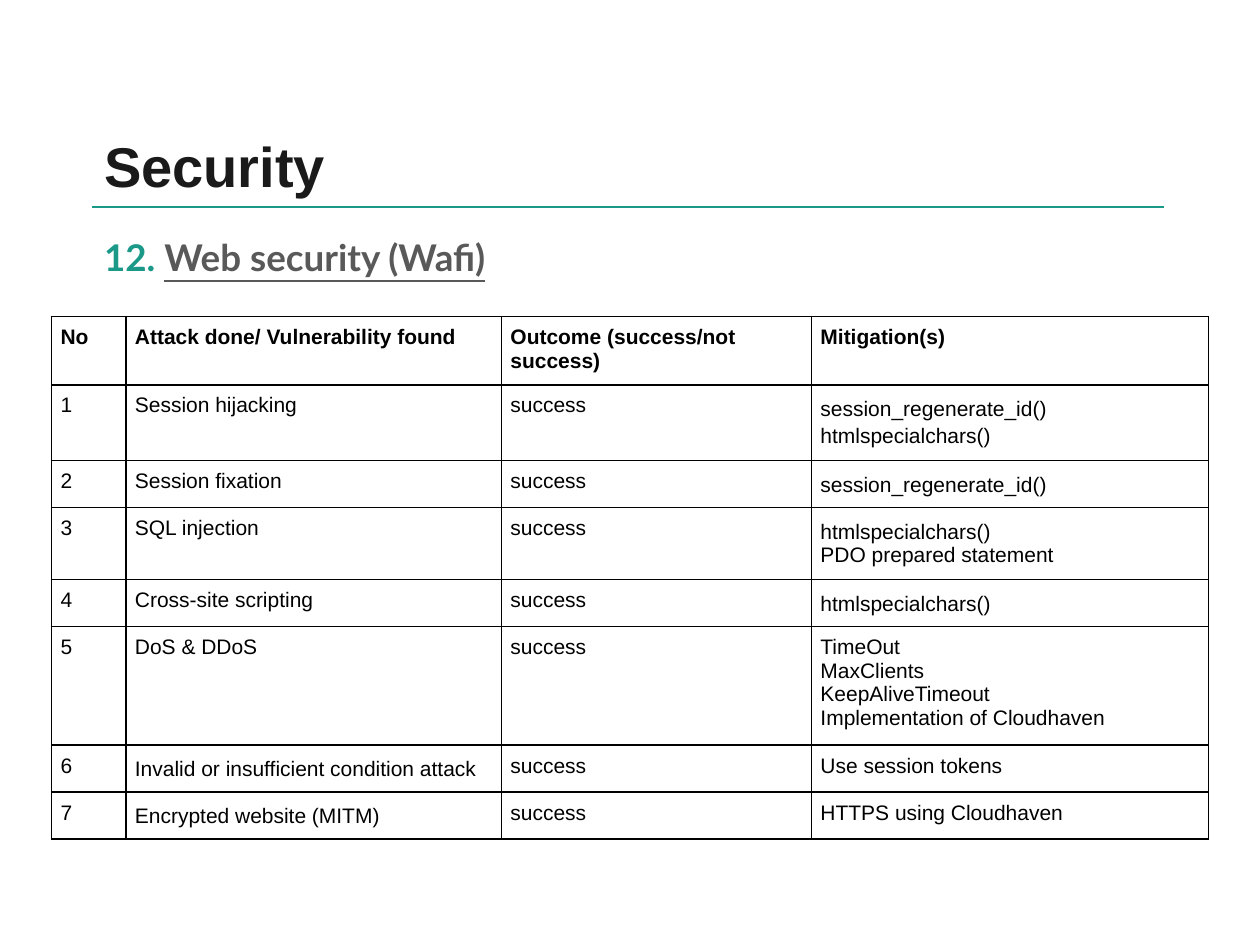
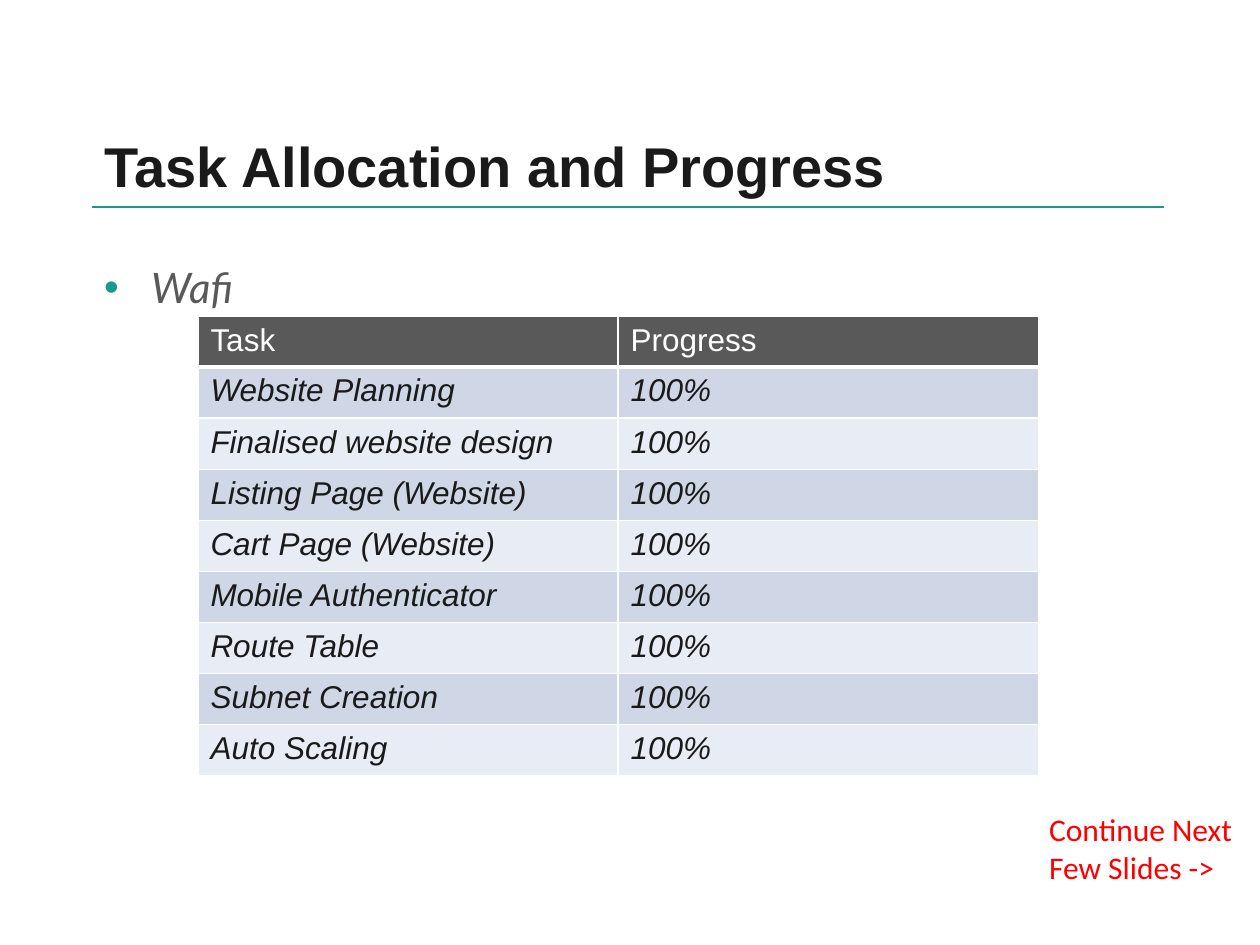
from lxml import etree
from pptx import Presentation
from pptx import util as u
from pptx.dml.color import RGBColor
from pptx.enum import shapes, text
from pptx.oxml import ns

TEAL, INK, GREY = "1A9988", "1A1A1A", "595959"
BLACK, WHITE, RED = "000000", "FFFFFF", "FF0000"
BANDS = ("CFD7E7", "E8ECF4")
LEFT, WIDTH = 1.85, 21.62

ATTACKS = [
    ("No", "Attack done/ Vulnerability found", "Outcome (success/not success)", "Mitigation(s)"),
    ("1", "Session hijacking", "success", "session_regenerate_id()\nhtmlspecialchars()"),
    ("2", "Session fixation", "success", "session_regenerate_id()"),
    ("3", "SQL injection", "success", "htmlspecialchars()\nPDO prepared statement"),
    ("4", "Cross-site scripting", "success", "htmlspecialchars()"),
    ("5", "DoS & DDoS", "success",
     "TimeOut\nMaxClients\nKeepAliveTimeout\nImplementation of Cloudhaven"),
    ("6", "Invalid or insufficient condition attack", "success", "Use session tokens"),
    ("7", "Encrypted website (MITM)", "success", "HTTPS using Cloudhaven"),
]
LOOSE = {"session_regenerate_id()", "htmlspecialchars()", ATTACKS[6][1], ATTACKS[7][1]}
TASKS = ["Website Planning", "Finalised website design", "Listing Page (Website)",
         "Cart Page (Website)", "Mobile Authenticator", "Route Table",
         "Subnet Creation", "Auto Scaling"]


def rgb(color):
    return RGBColor.from_string(color)


def add_xml(parent, tag, **attrs):
    return etree.SubElement(parent, ns.qn(tag), attrs)


class Deck:
    def __init__(self):
        self.prs = Presentation()
        self.prs.slide_width, self.prs.slide_height = u.Cm(25.4), u.Cm(19.05)
        self.s = None

    def slide(self, title):
        self.s = self.prs.slides.add_slide(self.prs.slide_layouts[6])
        self.rule(LEFT, 4.17, LEFT + WIDTH)
        p = self.box(LEFT, 2.49, WIDTH, 1.68, text.MSO_ANCHOR.MIDDLE)
        self.label(p, title, 32, "Arial", INK, bold=True)

    def rule(self, x1, y, x2):
        c = self.s.shapes.add_connector(
            shapes.MSO_CONNECTOR.STRAIGHT, u.Cm(x1), u.Cm(y), u.Cm(x2), u.Cm(y))
        c.line.color.rgb = rgb(TEAL)
        c.line.width = u.Pt(0.75)
        add_xml(c._element.spPr, "a:effectLst")

    def box(self, x, y, w, h, anchor=text.MSO_ANCHOR.TOP):
        sp = self.s.shapes.add_textbox(u.Cm(x), u.Cm(y), u.Cm(w), u.Cm(h))
        tf = sp.text_frame
        tf.word_wrap = True
        tf.vertical_anchor = anchor
        return tf.paragraphs[0]

    def label(self, p, words, size, name, color=None, bold=False, italic=False):
        if words:
            p.add_run().text = words
        f = p.font
        f.size, f.name, f.bold, f.italic = u.Pt(size), name, bold, italic
        if color:
            f.color.rgb = rgb(color)

    def bullet(self, p, indent):
        pPr = p._p.get_or_add_pPr()
        pPr.set("marL", str(u.Cm(indent)))
        pPr.set("indent", str(-u.Cm(indent)))
        add_xml(add_xml(pPr, "a:buClr"), "a:srgbClr", val=TEAL)
        add_xml(pPr, "a:buFont", typeface="Arial")
        add_xml(pPr, "a:buChar", char="•")

    def table(self, x, y, cols, rows):
        tbl = self.s.shapes.add_table(
            len(rows), len(cols), u.Cm(x), u.Cm(y), u.Cm(sum(cols)), u.Cm(sum(rows))).table
        tbl.first_row = tbl.horz_banding = False
        for col, w in zip(tbl.columns, cols):
            col.width = u.Cm(w)
        for row, h in zip(tbl.rows, rows):
            row.height = u.Cm(h)
        return tbl

    def cell(self, cell, words, size, color, edge, fill=None, inset=None,
             bold=False, italic=False, widths=(1, 1, 1, 1)):
        tcPr = cell._tc.get_or_add_tcPr()
        for side, w in zip("LRTB", widths):
            ln = add_xml(tcPr, "a:ln" + side, w=str(u.Pt(w)))
            add_xml(add_xml(ln, "a:solidFill"), "a:srgbClr", val=edge)
        if fill:
            cell.fill.solid()
            cell.fill.fore_color.rgb = rgb(fill)
        else:
            cell.fill.background()
        if inset:
            cell.margin_left = cell.margin_right = u.Cm(inset)
            cell.margin_top = cell.margin_bottom = u.Cm(inset)
        tf = cell.text_frame
        for i, line in enumerate(words.split("\n")):
            p = tf.add_paragraph() if i else tf.paragraphs[0]
            if line in LOOSE:
                p.line_spacing = 1.15
            self.label(p, line, size, "Arial", color, bold, italic)


def security(d):
    d.slide("Security")
    p = d.box(LEFT, 4.6, 20.78, 10.44)
    for words, color, underline in (("12. ", TEAL, False), ("Web security (Wafi)", GREY, True)):
        r = p.add_run()
        r.text = words
        r.font.color.rgb = rgb(color)
        r.font.underline = underline
    d.label(p, "", 21, "Lato", bold=True)
    tbl = d.table(1.04, 6.38, (1.5, 7.57, 6.25, 8), (1.29, 1.45, 0.9, 1.37, 0.9, 2.25, 0.9, 0.9))
    for i, row in enumerate(ATTACKS):
        for j, words in enumerate(row):
            d.cell(tbl.cell(i, j), words, 12, BLACK, BLACK, inset=0.18, bold=i == 0)


def progress(d):
    d.slide("Task Allocation and Progress")
    p = d.box(LEFT, 5.15, WIDTH, 12.55)
    d.bullet(p, 0.95)
    d.label(p, "Wafi", 24, "Lato", GREY, italic=True)
    p = d.box(20.9, 16.21, 4.55, 1.8)
    d.label(p, "Continue Next Few Slides ->", 18, "Calibri", RED)
    tbl = d.table(3.99, 6.38, (8.47,) * 2, [1.02] + [1.03] * len(TASKS))
    for j, words in enumerate(("Task", "Progress")):
        d.cell(tbl.cell(0, j), words, 18, WHITE, WHITE, GREY, widths=(1, 1, 1, 3))
    for i, task in enumerate(TASKS, 1):
        top = 3 if i == 1 else 1
        for j, words in enumerate((task, "100%")):
            d.cell(tbl.cell(i, j), words, 18, INK, WHITE, BANDS[(i - 1) % 2],
                   italic=True, widths=(1, 1, top, 1))


def main():
    d = Deck()
    security(d)
    progress(d)
    d.prs.save("out.pptx")


if __name__ == "__main__":
    main()
